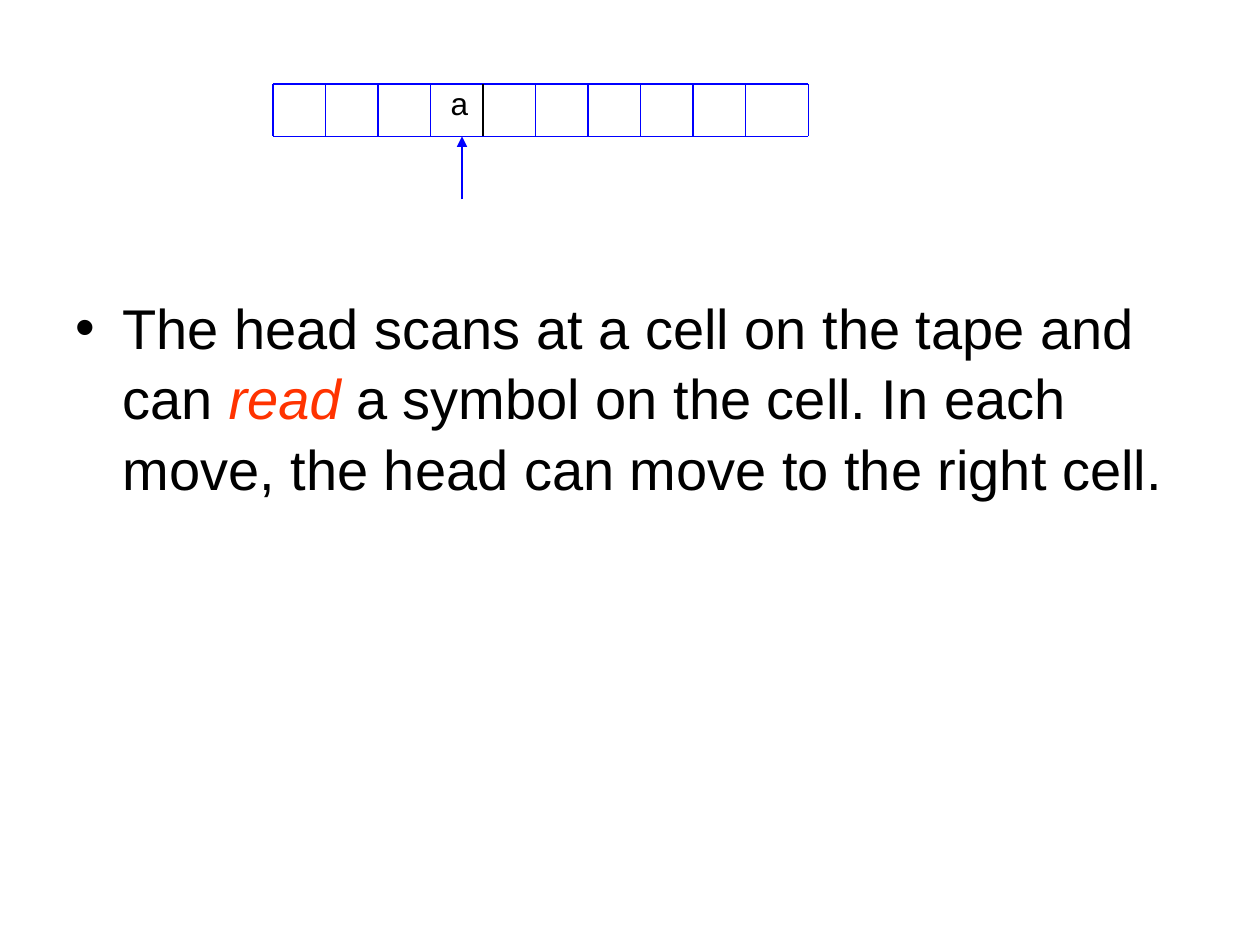
from lxml import etree
from pptx import Presentation
from pptx.dml.color import RGBColor
from pptx.enum import shapes, text
from pptx.oxml import ns
from pptx.util import Pt

BLUE, BLACK, RED = "0000FF", "000000", "FF3300"


def colour(value):
    return RGBColor.from_string(value)


def add_element(parent, tag, **attributes):
    return etree.SubElement(parent, ns.qn(tag), attributes)


class Sketch:
    """Holds the style and the current slide."""

    font = "Arial"
    line_width = 0.75

    def __init__(self, page):
        self.page = page

    def line(self, start, end, ink=BLUE, arrow=False):
        line = self.page.shapes.add_connector(
            shapes.MSO_CONNECTOR.STRAIGHT, *(Pt(value) for value in (*start, *end)))
        line.line.color.rgb = colour(ink)
        line.line.width = Pt(self.line_width)
        if arrow:
            add_element(line.line._get_or_add_ln(), "a:tailEnd", type="triangle")
        add_element(line._element.spPr, "a:effectLst")

    def text(self, place, spans, size, bullet_indent=0, line_spacing=1.0, **frame_format):
        """Add one paragraph of (wording, colour, italic) spans."""
        box = self.page.shapes.add_textbox(*(Pt(value) for value in place))
        for name, value in frame_format.items():
            setattr(box.text_frame, name, value)
        para = box.text_frame.paragraphs[0]
        para.line_spacing = line_spacing
        if bullet_indent:
            properties = para._p.get_or_add_pPr()
            properties.set("marL", str(Pt(bullet_indent)))
            properties.set("indent", str(-Pt(bullet_indent)))
            add_element(properties, "a:buFont", typeface=self.font)
            add_element(properties, "a:buChar", char="•")
        for wording, ink, italic in spans:
            span = para.add_run()
            span.text = wording
            style = {"name": self.font, "size": Pt(size), "italic": italic}
            for name, value in style.items():
                setattr(span.font, name, value)
            span.font.color.rgb = colour(ink)


def main():
    deck = Presentation()
    deck.slide_width, deck.slide_height = Pt(720), Pt(540)
    sketch = Sketch(deck.slides.add_slide(deck.slide_layouts[6]))

    sketch.text((36, 162, 648, 320.4), [
        ("The head scans at a cell on the tape and can ", BLACK, False),
        ("read", RED, True),
        (" a symbol on the cell. In each move, the head can move to the right cell.",
         BLACK, False),
    ], 32, bullet_indent=27, line_spacing=1.05, word_wrap=True)

    left, right, top, bottom = 156, 462, 48, 78
    cell_width, cell_count, black_divider = 30, 10, 4
    for y in (top, bottom):
        sketch.line((left, y), (right, y))
    dividers = [left + cell_width * index for index in range(cell_count)]
    for index, x in enumerate(dividers + [right]):
        sketch.line((x, top), (x, bottom), BLACK if index == black_divider else BLUE)

    head_x = 264
    sketch.line((head_x, bottom + 36), (head_x, bottom), arrow=True)
    sketch.text((250.5, 44.6, 24.5, 28.8), [("a", BLACK, False)], 18,
                word_wrap=False, auto_size=text.MSO_AUTO_SIZE.SHAPE_TO_FIT_TEXT)

    deck.save("out.pptx")


if __name__ == "__main__":
    main()
